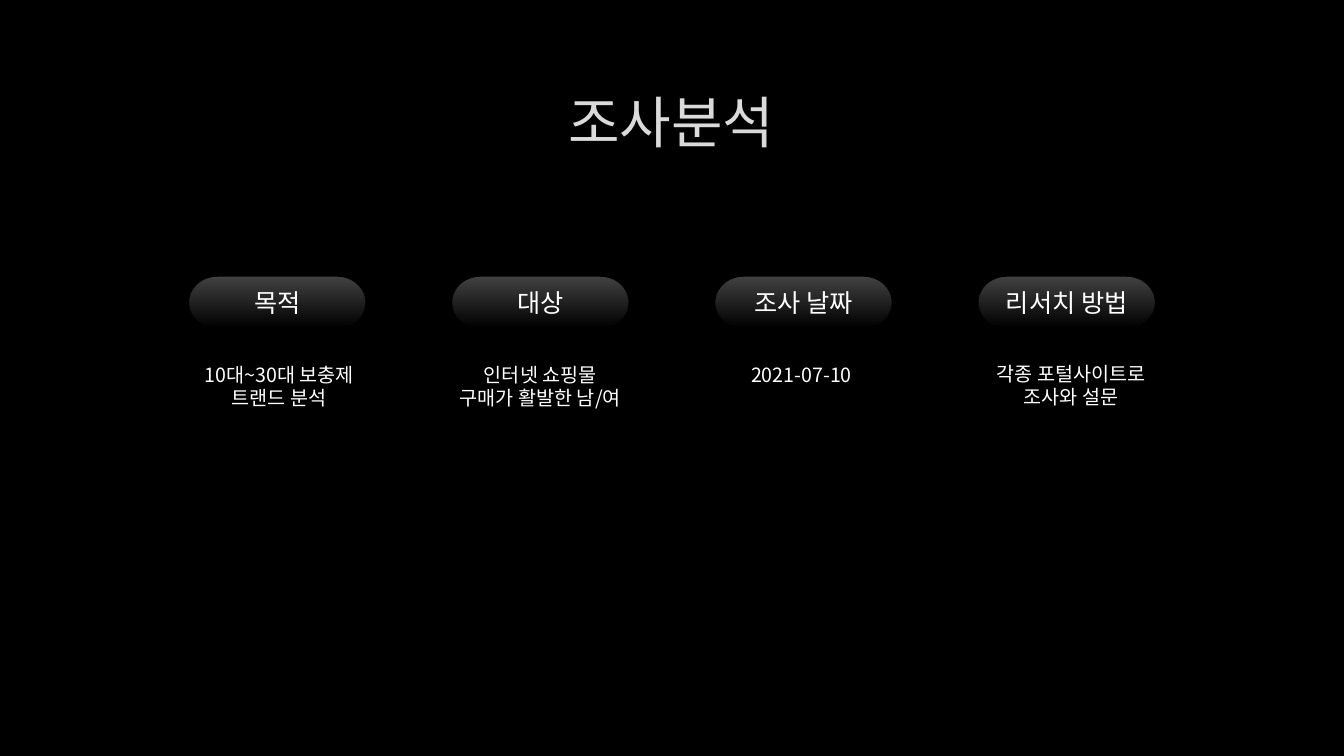
from pptx import Presentation
from pptx.dml.color import RGBColor
from pptx.enum.shapes import MSO_SHAPE as Shape
from pptx.enum.text import MSO_ANCHOR as Anchor, MSO_AUTO_SIZE as AutoSize, PP_ALIGN as Align
from pptx.util import Inches, Pt

WHITE, BLACK = "FFFFFF", "000000"
LATIN_FONT, KOREAN_FONT = "Calibri", "Noto Sans CJK KR"

# Heading, detail, and the left, top, width and height of the detail
TOPICS = [
    ("목적", "10대~30대 보충제 트랜드 분석", (1.84, 3.55, 1.86, 0.57)),
    ("대상", "인터넷 쇼핑물 구매가 활발한 남/여", (4.43, 3.55, 1.86, 0.57)),
    ("조사 날짜", "2021-07-10", (7.02, 3.55, 1.86, 0.34)),
    ("리서치 방법", "각종 포털사이트로 조사와 설문", (9.53, 3.54, 2.19, 0.57)),
]
FIRST_LEFT, PITCH = 1.87, 2.61


def color(hex_code):
    return RGBColor.from_string(hex_code)


def write(frame, text, size, font_name, hex_code=WHITE):
    frame.text = text
    frame.word_wrap = True
    paragraph = frame.paragraphs[0]
    paragraph.alignment = Align.CENTER
    font = paragraph.font
    font.size, font.name = Pt(size), font_name
    font.color.rgb = color(hex_code)


def add_title(slide, text):
    title = slide.shapes.title
    title.left, title.top = Inches(1), Inches(0.67)
    title.width, title.height = Inches(11.32), Inches(1.06)
    write(title.text_frame, text, 40, LATIN_FONT, "DADADA")
    title.text_frame.vertical_anchor = Anchor.MIDDLE


def add_heading(slide, text, left):
    pill = slide.shapes.add_shape(Shape.FLOWCHART_TERMINATOR, Inches(left),
                                  Inches(2.74), Inches(1.76), Inches(0.52))
    pill.shadow.inherit = False
    # Grey at the top fading to black at the bottom
    pill.fill.gradient()
    pill.fill.gradient_angle = 270
    for stop, hex_code in zip(pill.fill.gradient_stops, ("414141", BLACK)):
        stop.color.rgb = color(hex_code)
    pill.line.color.rgb = color(BLACK)
    pill.line.width = Pt(0.75)
    write(pill.text_frame, text, 18, LATIN_FONT)
    pill.text_frame.vertical_anchor = Anchor.MIDDLE


def add_detail(slide, text, box):
    detail = slide.shapes.add_textbox(*map(Inches, box))
    write(detail.text_frame, text, 14, KOREAN_FONT)
    detail.text_frame.auto_size = AutoSize.SHAPE_TO_FIT_TEXT


def main():
    deck = Presentation()
    deck.slide_width, deck.slide_height = Inches(13.33), Inches(7.5)
    slide = deck.slides.add_slide(deck.slide_layouts[5])
    slide.background.fill.solid()
    slide.background.fill.fore_color.rgb = color(BLACK)

    add_title(slide, "조사분석")

    # One column per topic
    for column, (heading, detail, box) in enumerate(TOPICS):
        add_heading(slide, heading, FIRST_LEFT + column * PITCH)
        add_detail(slide, detail, box)

    deck.save("out.pptx")


if __name__ == "__main__":
    main()
